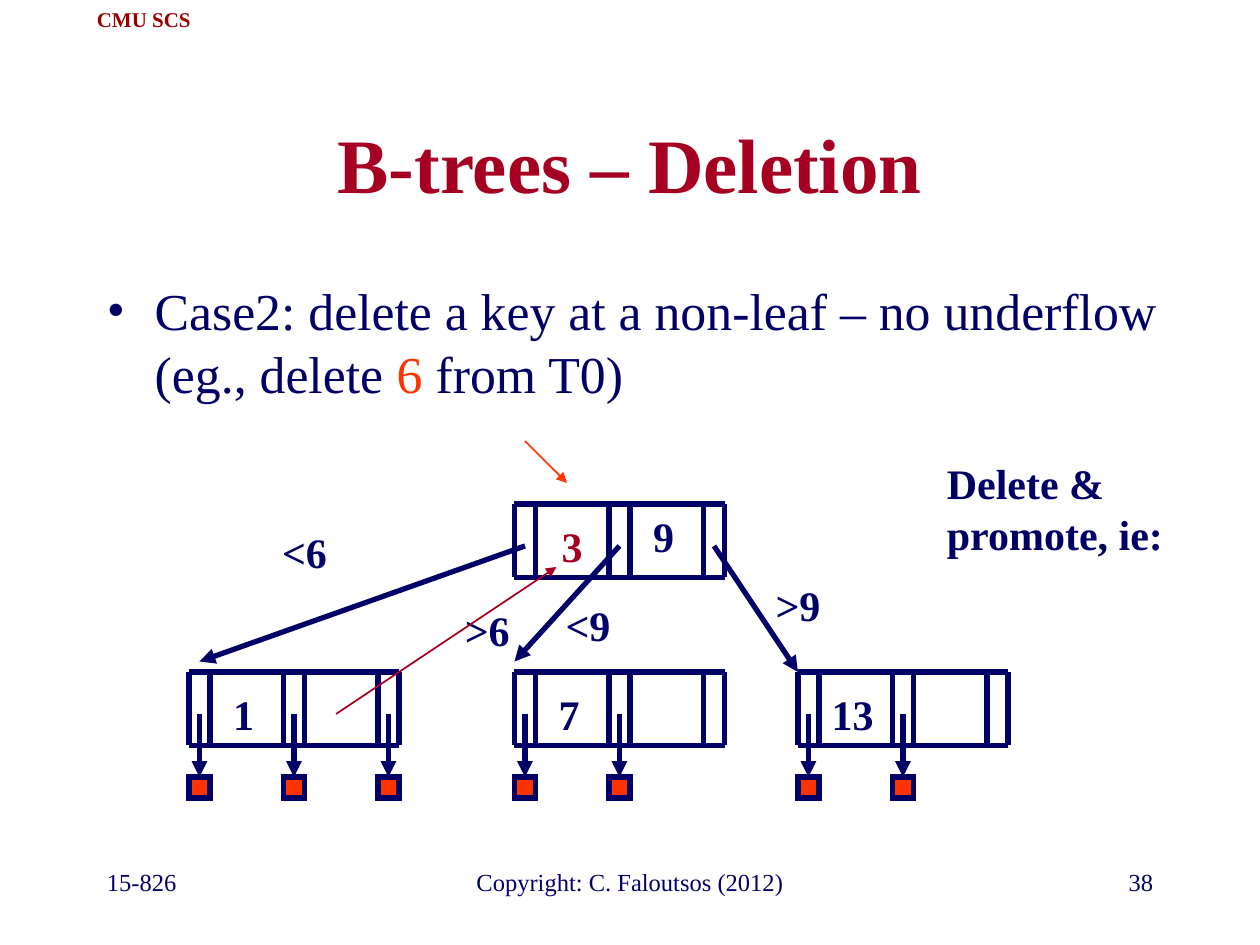
from lxml import etree
from pptx import Presentation
from pptx.dml.color import RGBColor
from pptx.enum.shapes import MSO_CONNECTOR, MSO_SHAPE
from pptx.enum.text import MSO_ANCHOR, MSO_AUTO_SIZE, PP_ALIGN
from pptx.oxml.ns import qn
from pptx.util import Inches, Pt

NAVY = RGBColor(0x00, 0x00, 0x66)
CRIMSON = RGBColor(0xA5, 0x00, 0x21)
DARK_RED = RGBColor(0x99, 0x00, 0x00)
ORANGE = RGBColor(0xFF, 0x33, 0x00)
FONT = "Times New Roman"
STRAIGHT = MSO_CONNECTOR.STRAIGHT
RECTANGLE = MSO_SHAPE.RECTANGLE
LEFT, CENTER, RIGHT = PP_ALIGN.LEFT, PP_ALIGN.CENTER, PP_ALIGN.RIGHT
TOP, MIDDLE = MSO_ANCHOR.TOP, MSO_ANCHOR.MIDDLE
FIT_SHAPE = MSO_AUTO_SIZE.SHAPE_TO_FIT_TEXT

COLUMNS, ROWS = 120, 90
CELL = Inches(10) // COLUMNS
NODE_WIDTH, NODE_HEIGHT = 20, 7
SLOT, SLOT_STEP = 2, 9
ROOT_COLUMN, ROOT_ROW = 49, 48
LEAF_ROW = 64
LEAVES = [(76, 2), (49, 2), (18, 3)]


def grid(*cells):
    return [round(cell * CELL) for cell in cells]


def add_text(slide, area, parts, size, color=NAVY, bold=False,
             align=CENTER, anchor=TOP, wrap=True):
    frame = slide.shapes.add_textbox(*grid(*area)).text_frame
    frame.word_wrap = wrap
    if not wrap:
        frame.auto_size = FIT_SHAPE
    frame.vertical_anchor = anchor
    paragraph = frame.paragraphs[0]
    paragraph.alignment = align
    for words, part_color in parts:
        run = paragraph.add_run()
        run.text = words
        run.font.name = FONT
        run.font.size = Pt(size)
        run.font.bold = bold
        run.font.color.rgb = part_color or color
    return paragraph


def add_bullet(paragraph, color):
    properties = paragraph._p.get_or_add_pPr()
    properties.set("marL", str(Inches(0.38)))
    properties.set("indent", str(-Inches(0.38)))
    bullet_color = etree.SubElement(properties, qn("a:buClr"))
    etree.SubElement(bullet_color, qn("a:srgbClr"), val=str(color))
    etree.SubElement(properties, qn("a:buFont"), typeface=FONT)
    etree.SubElement(properties, qn("a:buChar"), char="•")


def add_line(slide, start, end, color=NAVY, width=3, arrow=False):
    line = slide.shapes.add_connector(STRAIGHT, *grid(*start, *end))
    line.line.color.rgb = color
    line.line.width = Pt(width)
    if arrow:
        outline = line.line._get_or_add_ln()
        etree.SubElement(outline, qn("a:tailEnd"), type="triangle")
    etree.SubElement(line._element.spPr, qn("a:effectLst"))


def add_node(slide, column, row):
    right, bottom = column + NODE_WIDTH, row + NODE_HEIGHT
    for slot in range(3):
        for edge in (0, SLOT):
            x = column + slot * SLOT_STEP + edge
            add_line(slide, (x, row), (x, bottom))
    for y in (row, bottom):
        add_line(slide, (column, y), (right, y))


def add_records(slide, column, count):
    record_row = LEAF_ROW + 10
    for slot in range(count):
        left = column + slot * SLOT_STEP
        center = left + SLOT / 2
        add_line(slide, (center, LEAF_ROW + 4), (center, record_row), arrow=True)
        record = slide.shapes.add_shape(RECTANGLE, *grid(left, record_row, SLOT, SLOT))
        record.shadow.inherit = False
        record.fill.solid()
        record.fill.fore_color.rgb = ORANGE
        record.line.color.rgb = NAVY
        record.line.width = Pt(3)
        etree.SubElement(record.line._get_or_add_ln(), qn("a:miter"), lim="800000")


def add_tree(slide):
    add_node(slide, ROOT_COLUMN, ROOT_ROW)
    for column, record_count in LEAVES:
        add_node(slide, column, LEAF_ROW)
        add_records(slide, column, record_count)
    for slot, child in enumerate([(19, 63), (49, 63), (76, 64)]):
        pointer = ROOT_COLUMN + SLOT / 2 + slot * SLOT_STEP
        add_line(slide, (pointer, ROOT_ROW + 4), child, arrow=True)
    labels = [
        ("1", 21, 65, 4.4), ("7", 52, 65, 4.4), ("9", 61, 48, 4.4),
        ("13", 78, 65, 6.4), ("<6", 25.6, 49.6, 6.8), (">6", 43, 57, 6.8),
        ("<9", 52.6, 56.5, 6.8), (">9", 72.6, 54.6, 6.8),
    ]
    for key, column, row, width in labels:
        add_text(slide, (column, row, width, 6), [(key, NAVY)], 24, bold=True, wrap=False)


def add_footer(slide):
    for words, column, width, align in [
        ("15-826", 9, 25, LEFT),
        ("Copyright: C. Faloutsos (2012)", 41, 38, CENTER),
        ("38", 86, 25, RIGHT),
    ]:
        add_text(slide, (column, 82, width, 6), [(words, NAVY)], 14, align=align)


def main():
    deck = Presentation()
    deck.slide_width, deck.slide_height = grid(COLUMNS, ROWS)
    slide = deck.slides.add_slide(deck.slide_layouts[6])
    add_text(slide, (7.7, 0, 12, 3.6), [("CMU SCS", DARK_RED)], 12,
             bold=True, anchor=MIDDLE, wrap=False)
    add_footer(slide)
    add_text(slide, (9, 8, 102, 15), [("B-trees – Deletion", CRIMSON)], 44,
             bold=True, anchor=MIDDLE)
    case = add_text(slide, (9, 26, 103, 14), [
        ("Case2: delete a key at a non-leaf – no underflow (eg., delete ", NAVY),
        ("6", ORANGE),
        (" from T0)", NAVY),
    ], 29.6, align=LEFT)
    add_bullet(case, NAVY)
    add_tree(slide)
    add_text(slide, (89, 43, 28, 10.8), [("Delete & promote, ie:", NAVY)], 24,
             bold=True, align=LEFT)
    add_line(slide, (50, 42), (54, 46), ORANGE, 1, arrow=True)
    add_text(slide, (52, 49, 5, 6), [("3", CRIMSON)], 24, bold=True)
    add_line(slide, (32, 68), (53, 54), CRIMSON, 1, arrow=True)
    deck.save("out.pptx")


if __name__ == "__main__":
    main()
